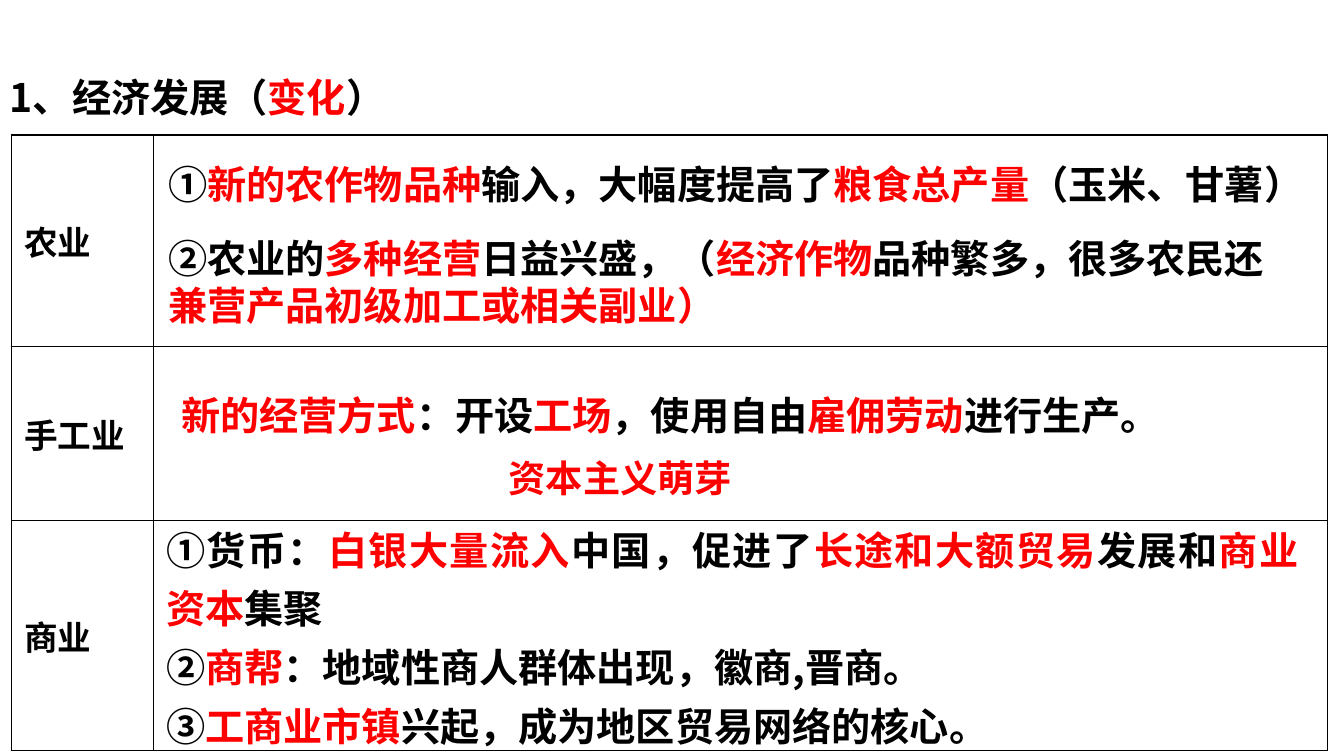
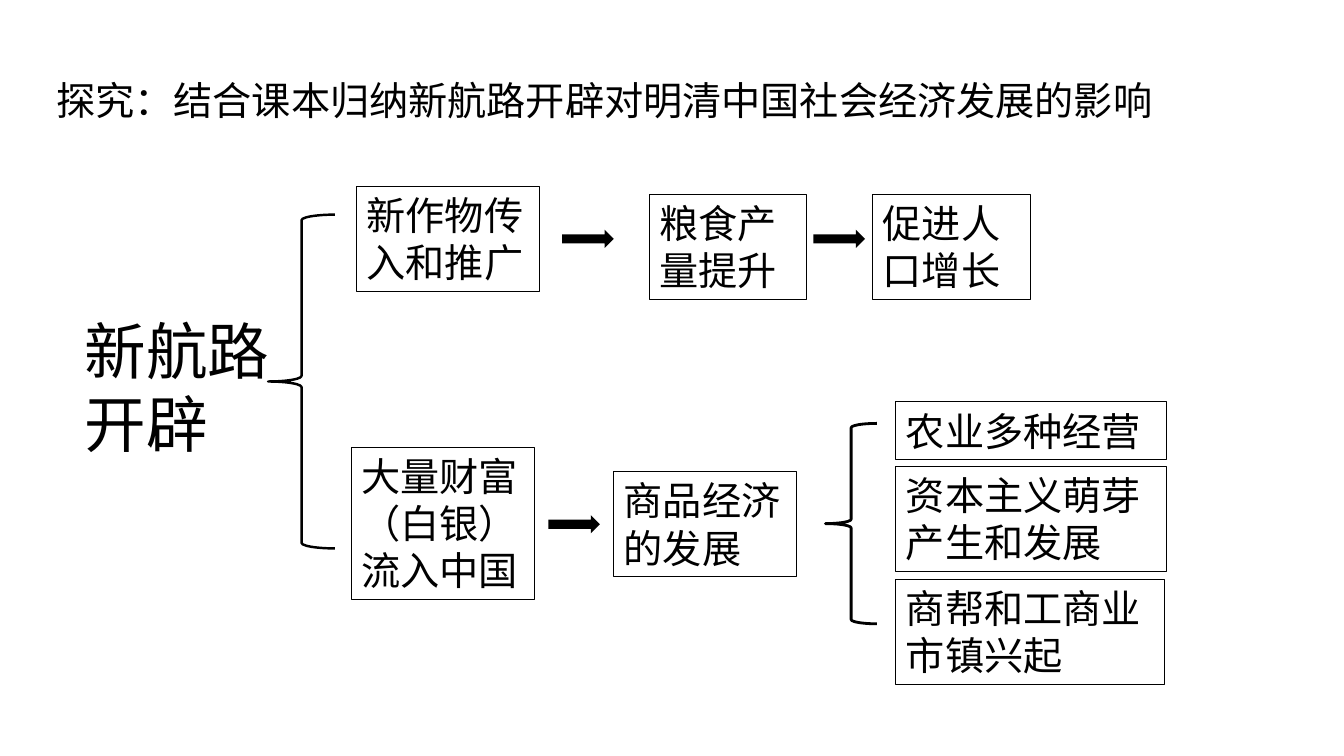
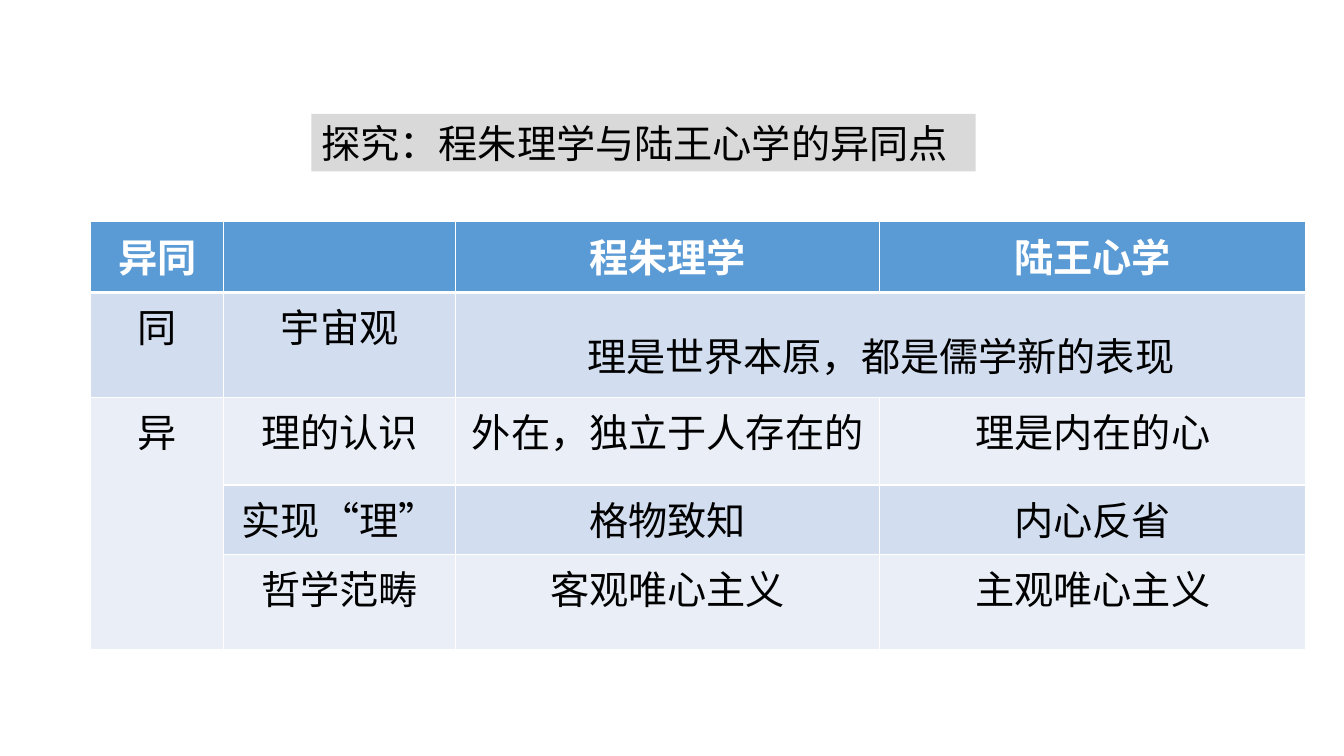
from lxml.etree import SubElement
from pptx import Presentation
from pptx.dml.color import RGBColor
from pptx.enum.shapes import MSO_SHAPE
from pptx.enum.text import MSO_ANCHOR, MSO_AUTO_SIZE, PP_ALIGN
from pptx.oxml.ns import qn
from pptx.util import Cm, Pt

BLACK = RGBColor(0x00, 0x00, 0x00)
WHITE = RGBColor(0xFF, 0xFF, 0xFF)
RED = RGBColor(0xFF, 0x00, 0x00)
GREY = RGBColor(0xD9, 0xD9, 0xD9)
HEADER_BLUE = RGBColor(0x5B, 0x9B, 0xD5)
BAND_DARK = RGBColor(0xD2, 0xDE, 0xEF)
BAND_LIGHT = RGBColor(0xEA, 0xEF, 0xF7)

CHINESE_FONT = "Noto Sans CJK SC"
LATIN_FONT = "Calibri"
MARKER_FONT = "Arial"
LINE_HEIGHT = 1.45
TWO_LINES = 2.64


def set_attributes(target, values):
    """Set every attribute named in a dict."""
    for name, value in values.items():
        setattr(target, name, value)


class Deck:
    """Hold the presentation, its style and the current slide."""

    def __init__(self):
        """Start a widescreen presentation."""
        self.presentation = Presentation()
        set_attributes(self.presentation, {
            "slide_width": Cm(33.87), "slide_height": Cm(19.05)})
        self.slide = None

    def add_slide(self):
        """Add a blank slide and make it current."""
        layout = self.presentation.slide_layouts[6]
        self.slide = self.presentation.slides.add_slide(layout)

    def add_run(self, paragraph, text, size, bold, color, font):
        """Add one formatted run."""
        run = paragraph.add_run()
        run.text = text
        set_attributes(run.font, {"size": Pt(size), "bold": bold, "name": font})
        run.font.color.rgb = color
        properties = run._r.get_or_add_rPr()
        SubElement(properties, qn("a:ea")).set("typeface", CHINESE_FONT)

    def fill_text(self, frame, text, size=28, bold=False, color=BLACK,
                  font=CHINESE_FONT, marker="", **paragraph_format):
        """Fill a frame with lines; parts between asterisks are red."""
        for index, line in enumerate(text.split("\n")):
            paragraph = frame.add_paragraph() if index else frame.paragraphs[0]
            set_attributes(paragraph, paragraph_format)
            if marker:
                self.add_run(paragraph, marker, size, bold, color, MARKER_FONT)
            for position, part in enumerate(line.split("*")):
                if part:
                    part_color = RED if position % 2 else color
                    self.add_run(paragraph, part, size, bold, part_color, font)

    def fit(self, frame, anchor=MSO_ANCHOR.TOP):
        """Wrap the text and let its frame grow."""
        set_attributes(frame, {
            "word_wrap": True, "vertical_anchor": anchor,
            "auto_size": MSO_AUTO_SIZE.SHAPE_TO_FIT_TEXT})

    def text(self, left, top, width, height, text, **style):
        """Add a text box."""
        box = self.slide.shapes.add_textbox(
            Cm(left), Cm(top), Cm(width), Cm(height))
        self.fit(box.text_frame)
        self.fill_text(box.text_frame, text, **style)

    def shape(self, kind, left, top, width, height, fill=None, line=None):
        """Add a preset shape with an optional fill and outline."""
        shape = self.slide.shapes.add_shape(
            kind, Cm(left), Cm(top), Cm(width), Cm(height))
        shape.shadow.inherit = False
        if fill is None:
            shape.fill.background()
        else:
            shape.fill.solid()
            shape.fill.fore_color.rgb = fill
        if line is None:
            shape.line.fill.background()
        else:
            shape.line.color.rgb = BLACK
            shape.line.width = Pt(line)
        return shape

    def box(self, left, top, width, height, text, fill=None, line=0.75,
            anchor=MSO_ANCHOR.TOP):
        """Add a rectangle with left-aligned text."""
        shape = self.shape(
            MSO_SHAPE.RECTANGLE, left, top, width, height, fill, line)
        self.fit(shape.text_frame, anchor)
        self.fill_text(shape.text_frame, text, alignment=PP_ALIGN.LEFT)

    def arrow(self, left, top):
        """Add a small black arrow pointing right."""
        self.shape(MSO_SHAPE.RIGHT_ARROW, left, top, 1.3, 0.46, fill=BLACK)

    def brace(self, left, top, width, height, line):
        """Add a left brace."""
        self.shape(MSO_SHAPE.LEFT_BRACE, left, top, width, height, line=line)

    def table(self, left, top, columns, rows):
        """Add an unstyled table with given column widths and row heights."""
        table = self.slide.shapes.add_table(
            len(rows), len(columns), Cm(left), Cm(top),
            Cm(sum(columns)), Cm(sum(rows))).table
        set_attributes(table, {"first_row": False, "horz_banding": False})
        for column, width in zip(table.columns, columns):
            column.width = Cm(width)
        for row, height in zip(table.rows, rows):
            row.height = Cm(height)
        return table

    def style_cell(self, cell, border, fill=None, top=1, bottom=1):
        """Set the borders and fill of a cell."""
        properties = cell._tc.get_or_add_tcPr()
        for side, width in {"L": 1, "R": 1, "T": top, "B": bottom}.items():
            line = SubElement(properties, qn(f"a:ln{side}"), w=str(Pt(width)))
            solid = SubElement(line, qn("a:solidFill"))
            SubElement(solid, qn("a:srgbClr"), val=str(border))
        if fill is None:
            cell.fill.background()
        else:
            cell.fill.solid()
            cell.fill.fore_color.rgb = fill


def build_economy(deck):
    """Slide 1: changes in the economy, by sector."""
    deck.add_slide()
    table = deck.table(0.28, 3.4, [3.58, 29.59], [5.33, 4.39, 5.79])
    for cell in table.iter_cells():
        deck.style_cell(cell, BLACK)
    for row, sector in enumerate(["农业", "手工业", "商业"]):
        cell = table.cell(row, 0)
        set_attributes(cell, {
            "vertical_anchor": MSO_ANCHOR.MIDDLE,
            "margin_left": Cm(0.33), "margin_right": Cm(0.33),
            "margin_top": Cm(0.18), "margin_bottom": Cm(0.18)})
        deck.fill_text(cell.text_frame, sector, size=24, bold=True,
                       font=LATIN_FONT)

    deck.text(0, 1.73, 11.79, LINE_HEIGHT, "1、经济发展（*变化*）", bold=True)
    deck.text(3.99, 3.91, 29.36, LINE_HEIGHT,
              "*新的农作物品种*输入，大幅度提高了*粮食总产量*（玉米、甘薯）",
              bold=True, marker="①")
    deck.text(3.99, 5.77, 28.96, TWO_LINES,
              "农业的*多种经营*日益兴盛，（*经济作物*品种繁多，很多农民还"
              "*兼营产品初级加工或相关副业）*", bold=True, marker="②")
    deck.text(4.32, 9.73, 26.54, LINE_HEIGHT,
              "*新的经营方式*：开设*工场*，使用自由*雇佣劳动*进行生产。",
              bold=True)
    deck.text(12.57, 11.35, 6.63, 1.4, "*资本主义萌芽*",
              size=26.6, bold=True, font=LATIN_FONT)
    deck.text(3.94, 12.83, 29.03, 6.25,
              "①货币：*白银大量流入*中国，促进了*长途和大额贸易*发展和"
              "*商业资本*集聚\n"
              "②*商帮*：地域性商人群体出现，徽商,晋商。\n"
              "③*工商业市镇*兴起，成为地区贸易网络的核心。",
              bold=True, alignment=PP_ALIGN.JUSTIFY, line_spacing=1.25)


def build_sea_routes(deck):
    """Slide 2: effects of the new sea routes."""
    deck.add_slide()
    deck.text(1.17, 1.8, 28.6, LINE_HEIGHT,
              "探究：结合课本归纳新航路开辟对明清中国社会经济发展的影响")
    deck.text(1.88, 7.75, 5.72, 4.01, "新航路开辟", size=44)
    deck.brace(6.76, 5.41, 1.68, 8.41, line=1.75)
    deck.brace(20.8, 10.67, 1.3, 5.05, line=2)
    for left, top in [(14.17, 5.79), (20.5, 5.79), (13.82, 12.98)]:
        deck.arrow(left, top)
    effects = [
        (8.99, 4.7, 4.6, TWO_LINES, "新作物传入和推广"),
        (16.36, 4.9, 3.96, TWO_LINES, "粮食产量提升"),
        (22, 4.9, 3.96, TWO_LINES, "促进人口增长"),
        (8.86, 11.28, 4.6, 3.84, "大量财富（白银）流入中国"),
        (15.47, 11.89, 4.6, TWO_LINES, "商品经济的发展"),
        (22.58, 10.13, 6.81, LINE_HEIGHT, "农业多种经营"),
        (22.58, 11.76, 6.83, TWO_LINES, "资本主义萌芽产生和发展"),
        (22.58, 14.6, 6.76, TWO_LINES, "商帮和工商业市镇兴起"),
    ]
    for effect in effects:
        deck.box(*effect)


def build_philosophy(deck):
    """Slide 3: comparison of two schools of thought."""
    deck.add_slide()
    deck.box(7.85, 2.87, 16.74, LINE_HEIGHT, "探究：程朱理学与陆王心学的异同点",
             fill=GREY, line=None, anchor=MSO_ANCHOR.MIDDLE)
    comparison = [
        ["异同", "", "程朱理学", "陆王心学"],
        ["同", "宇宙观", "理是世界本原，都是儒学新的表现", ""],
        ["异", "理的认识", "外在，独立于人存在的", "理是内在的心"],
        ["", "实现“理”", "格物致知", "内心反省"],
        ["", "哲学范畴", "客观唯心主义", "主观唯心主义"],
    ]
    table = deck.table(2.29, 5.59, [3.35, 5.84, 10.69, 10.74],
                       [1.78, 2.64, 2.21, 1.75, 2.39])
    table.cell(1, 2).merge(table.cell(1, 3))
    table.cell(2, 0).merge(table.cell(4, 0))
    for row, texts in enumerate(comparison):
        header = row == 0
        band = BAND_DARK if row % 2 else BAND_LIGHT
        for column, text in enumerate(texts):
            cell = table.cell(row, column)
            deck.style_cell(cell, WHITE, HEADER_BLUE if header else band,
                            top=3 if row == 1 else 1, bottom=3 if header else 1)
            if text:
                deck.fill_text(cell.text_frame, text, bold=header,
                               font=LATIN_FONT,
                               color=WHITE if header else BLACK,
                               alignment=PP_ALIGN.CENTER,
                               line_spacing=1.5 if cell.is_merge_origin
                               and row == 1 else None)


deck = Deck()
for build in (build_economy, build_sea_routes, build_philosophy):
    build(deck)
deck.presentation.save("out.pptx")
